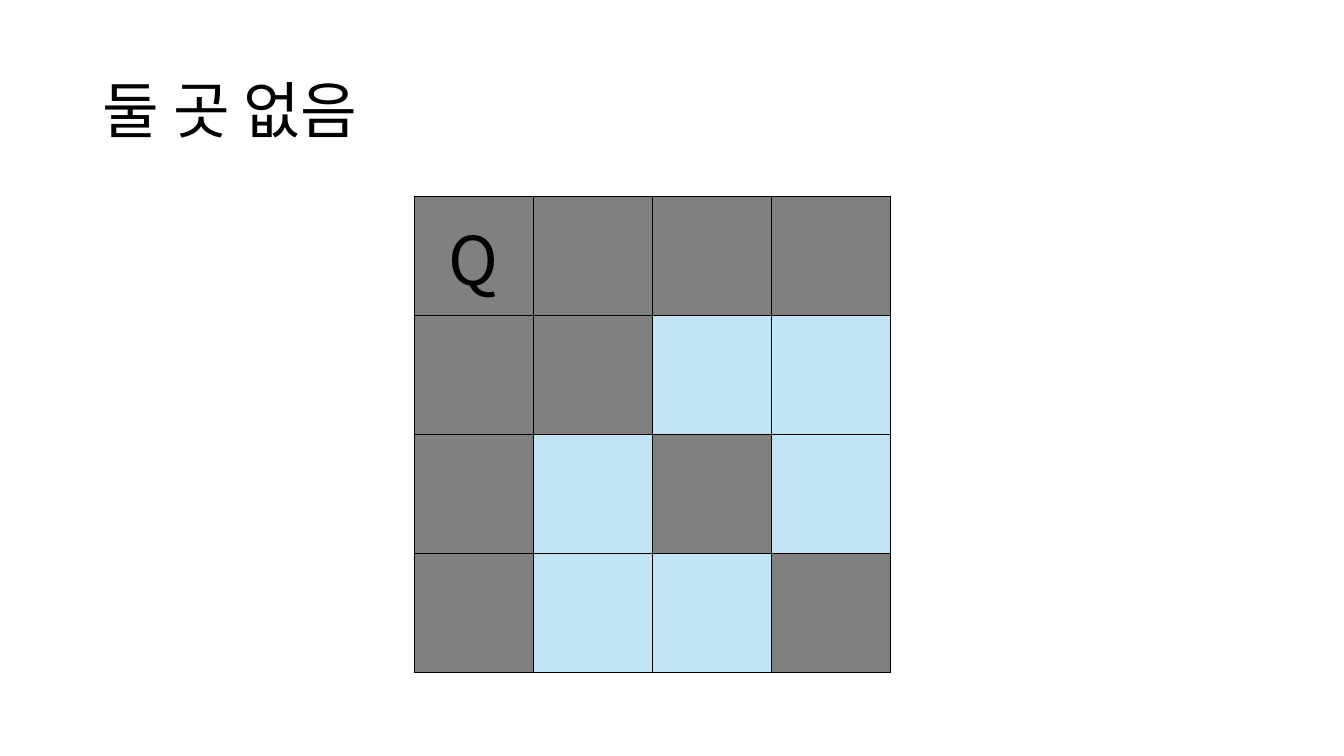
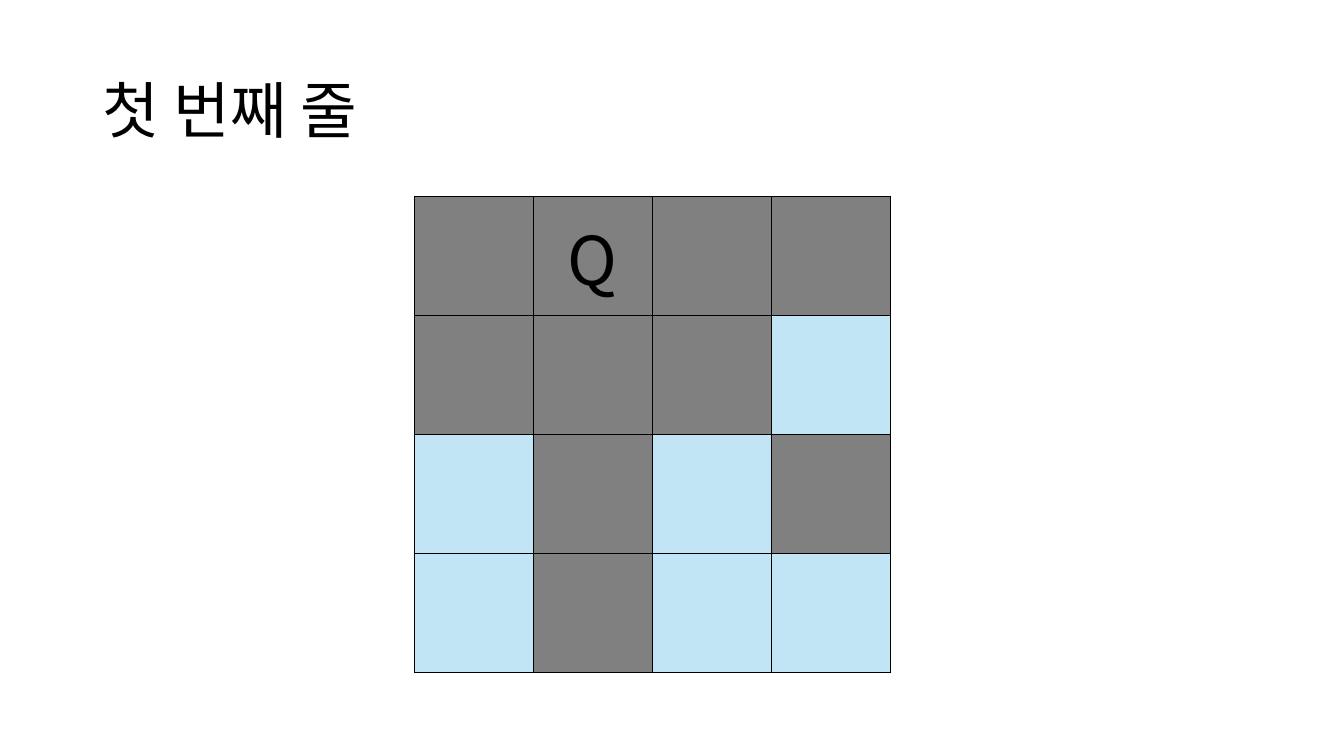
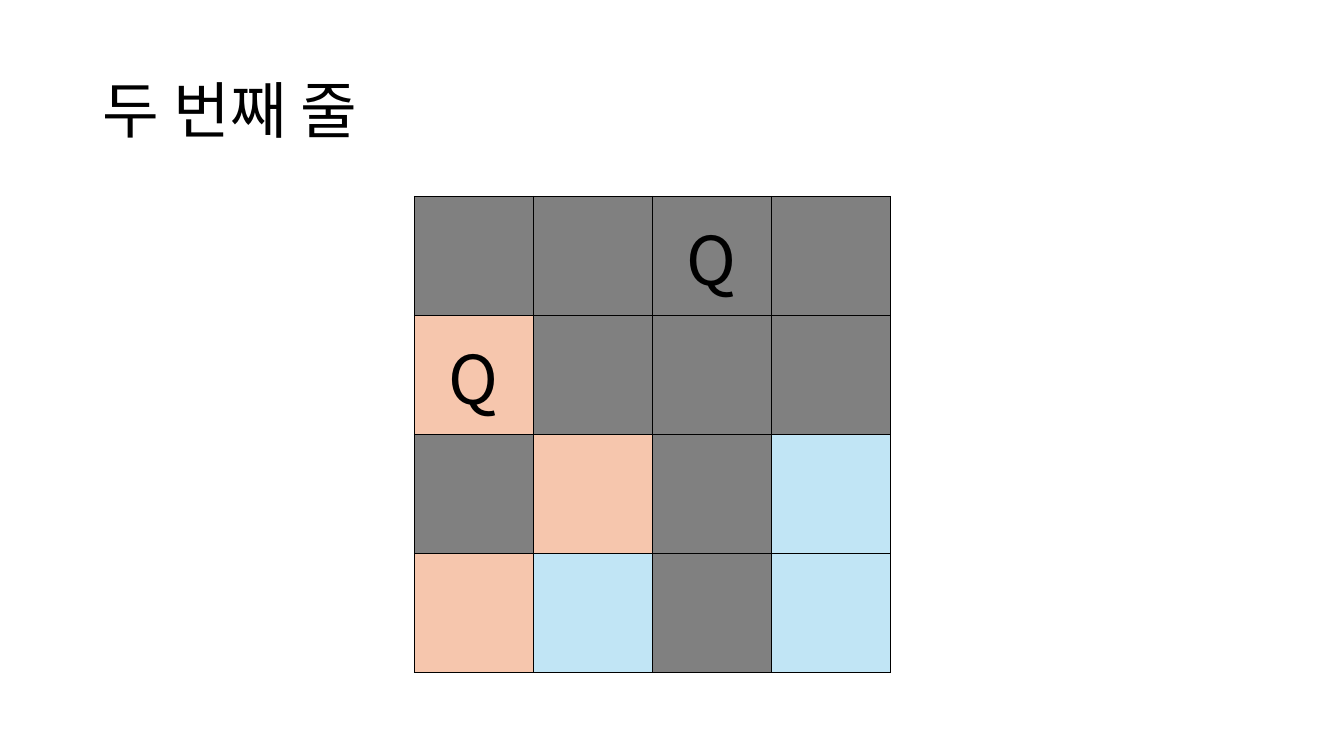
from lxml import etree
from pptx import Presentation
from pptx.dml.color import RGBColor
from pptx.enum import text
from pptx.oxml import ns
from pptx.util import Inches, Pt

FONT = "Noto Sans CJK KR"
BLACK = "000000"
FREE = "C1E5F5"
REACH = ["808080", "F6C6AD"]  # squares covered by the first and second queen
SIZE = 4
TITLE_BOX = (0.92, 0.4, 11.5, 1.45)
BOARD_BOX = (4.11, 1.95, 4.72, 4.72)

# Title and queens as (row, column), in the order they are placed
PAGES = [
    ("둘 곳 없음", [(0, 0)]),
    ("첫 번째 줄", [(0, 1)]),
    ("두 번째 줄", [(0, 2), (1, 0)]),
]


def colour(value):
    return RGBColor.from_string(value)


def apply_format(target, values):
    for name, value in values.items():
        setattr(target, name, value)


def write(frame, words, size, **para_format):
    para = frame.paragraphs[0]
    apply_format(para, para_format)
    span = para.add_run()
    span.text = words
    apply_format(span.font, {"size": Pt(size), "name": FONT})
    span.font.color.rgb = colour(BLACK)
    east_asian = etree.SubElement(span.font._element, ns.qn("a:ea"))
    east_asian.set("typeface", FONT)


def add_title(page, words, box):
    title = page.shapes.title
    places = map(Inches, box)
    apply_format(title, dict(zip(("left", "top", "width", "height"), places)))
    apply_format(title.text_frame, {
        "vertical_anchor": text.MSO_ANCHOR.MIDDLE,
        "auto_size": text.MSO_AUTO_SIZE.NONE,
        "word_wrap": True,
    })
    write(title.text_frame, words, 44,
          alignment=text.PP_ALIGN.LEFT, line_spacing=0.9)


def add_borders(cell):
    properties = cell._tc.get_or_add_tcPr()
    for side in ("lnL", "lnR", "lnT", "lnB"):
        line = etree.SubElement(properties, ns.qn(f"a:{side}"), w=str(Pt(1)))
        fill = etree.SubElement(line, ns.qn("a:solidFill"))
        etree.SubElement(fill, ns.qn("a:srgbClr"), val=BLACK)


def square_colour(square, queens):
    """Return the colour of the first queen that covers the square."""
    for queen, reach in zip(queens, REACH):
        rows, columns = (abs(a - b) for a, b in zip(square, queen))
        if rows == 0 or columns == 0 or rows == columns:
            return reach
    return FREE


def add_board(page, queens, box):
    left, top, width, height = map(Inches, box)
    board = page.shapes.add_table(SIZE, SIZE, left, top, width, height).table
    apply_format(board, {"first_row": False, "horz_banding": False})
    for row in range(SIZE):
        for column in range(SIZE):
            cell = board.cell(row, column)
            add_borders(cell)
            cell.fill.solid()
            cell.fill.fore_color.rgb = colour(
                square_colour((row, column), queens))
            cell.vertical_anchor = text.MSO_ANCHOR.MIDDLE
            if (row, column) in queens:
                write(cell.text_frame, "Q", 48,
                      alignment=text.PP_ALIGN.CENTER)


def main():
    deck = Presentation()
    apply_format(deck, {"slide_width": Inches(13.33),
                        "slide_height": Inches(7.5)})
    title_only = deck.slide_layouts.get_by_name("Title Only")
    for words, queens in PAGES:
        page = deck.slides.add_slide(title_only)
        add_title(page, words, TITLE_BOX)
        add_board(page, queens, BOARD_BOX)
    deck.save("out.pptx")


if __name__ == "__main__":
    main()
